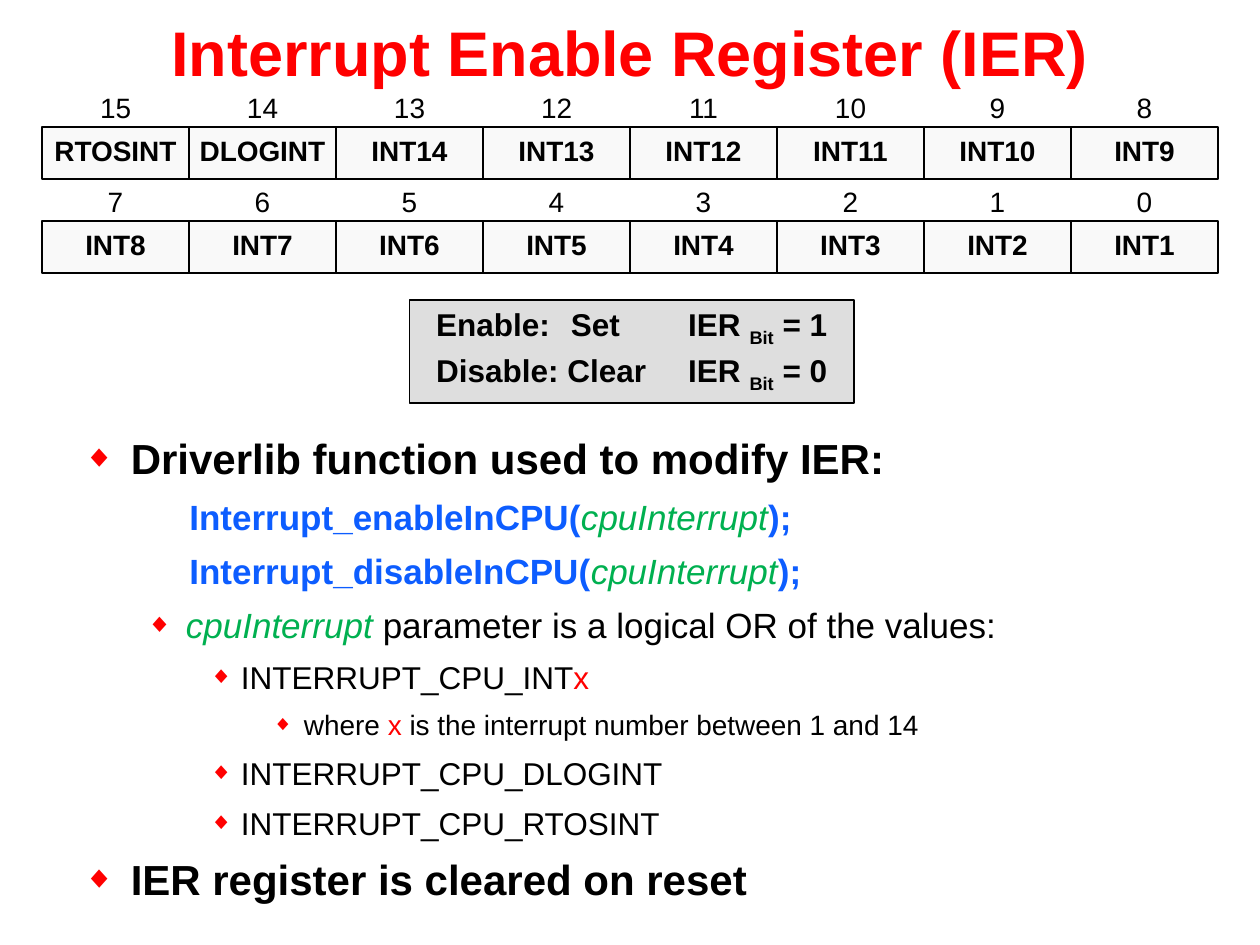
from lxml import etree
from pptx import Presentation
from pptx.dml.color import RGBColor
from pptx.enum import shapes, text
from pptx.oxml import ns
from pptx.util import Pt

FONT = "Arial"
BLACK = RGBColor(0x00, 0x00, 0x00)
RED = RGBColor(0xFF, 0x00, 0x00)
BLUE = RGBColor(0x0D, 0x5D, 0xFF)
GREEN = RGBColor(0x00, 0xB0, 0x50)
CELL_FILL = RGBColor(0xF9, 0xF9, 0xF9)
NOTE_FILL = RGBColor(0xDE, 0xDE, 0xDE)

# Left margin and hanging indent of each bullet level
BULLET_INDENTS = [(27, 27), (58.5, 22.5), (90, 18), (126, 18)]
CODE_MARGIN = 60.5

UPPER_BITS = ["RTOSINT", "DLOGINT"] + [f"INT{n}" for n in range(14, 8, -1)]
LOWER_BITS = [f"INT{n}" for n in range(8, 0, -1)]


def add_text(paragraph, content, size=16, color=BLACK, bold=False,
             italic=False, baseline=0):
    run = paragraph.add_run()
    run.text = content
    font = run.font
    font.name, font.size = FONT, Pt(size)
    font.bold, font.italic = bold, italic
    font.color.rgb = color
    if baseline:
        run._r.get_or_add_rPr().set("baseline", str(baseline * 1000))


def center(paragraph, line_spacing, space_before):
    paragraph.alignment = text.PP_ALIGN.CENTER
    paragraph.line_spacing = line_spacing
    paragraph.space_before = Pt(space_before)


def set_box(shape, left, top, width, height):
    shape.left, shape.top = Pt(left), Pt(top)
    shape.width, shape.height = Pt(width), Pt(height)


def add_box(parent, left, top, width, height, fill):
    shape = parent.add_shape(shapes.MSO_SHAPE.RECTANGLE, Pt(left), Pt(top),
                             Pt(width), Pt(height))
    shape.shadow.inherit = False
    shape.fill.solid()
    shape.fill.fore_color.rgb = fill
    shape.line.color.rgb = BLACK
    shape.line.width = Pt(1)
    shape.text_frame.word_wrap = False
    shape.text_frame.vertical_anchor = text.MSO_ANCHOR.MIDDLE
    return shape


def add_title(slide, left, top, width, height):
    title = slide.shapes.title
    set_box(title, left, top, width, height)
    title.text_frame.vertical_anchor = text.MSO_ANCHOR.MIDDLE
    paragraph = title.text_frame.paragraphs[0]
    paragraph.alignment = text.PP_ALIGN.CENTER
    add_text(paragraph, "Interrupt Enable Register (IER)", size=36,
             color=RED, bold=True)


def add_register(slide, names, high_bit, left, top, width, height):
    """One row of named bits with the bit numbers above it."""
    group = slide.shapes.add_group_shape().shapes
    cell_width = width / len(names)
    label_height = 22
    for index, name in enumerate(names):
        x = left + index * cell_width
        cell = add_box(group, x, top, cell_width, height, CELL_FILL)
        label = group.add_textbox(Pt(x), Pt(top - 20.5), Pt(cell_width),
                                  Pt(label_height))
        label.text_frame.word_wrap = True
        for shape, content, bold in ((cell, name, True),
                                     (label, str(high_bit - index), False)):
            paragraph = shape.text_frame.paragraphs[0]
            center(paragraph, 0.8, 8)
            add_text(paragraph, content, bold=bold)


def add_note(slide, left, top, width, height):
    frame = add_box(slide.shapes, left, top, width, height,
                    NOTE_FILL).text_frame
    lines = [("Enable: \t Set \tIER ", " = 1"),
             ("Disable: Clear\tIER ", " = 0")]
    for index, (action, value) in enumerate(lines):
        paragraph = frame.add_paragraph() if index else frame.paragraphs[0]
        center(paragraph, 0.6, 11.5)
        add_text(paragraph, action, size=18, bold=True)
        add_text(paragraph, "Bit", size=18, bold=True, baseline=-25)
        add_text(paragraph, value, size=18, bold=True)


def set_bullet(paragraph, margin, hanging=0, bullet=True):
    properties = paragraph._p.get_or_add_pPr()
    properties.set("marL", str(Pt(margin)))
    properties.set("indent", str(-Pt(hanging)))
    if not bullet:
        etree.SubElement(properties, ns.qn("a:buNone"))
        return
    color = etree.SubElement(properties, ns.qn("a:buClr"))
    etree.SubElement(color, ns.qn("a:srgbClr")).set("val", str(RED))
    etree.SubElement(properties, ns.qn("a:buSzPct")).set("val", "75000")
    etree.SubElement(properties, ns.qn("a:buChar")).set("char", "◆")


def add_body(slide, left, top, width, height):
    body = slide.placeholders[1]
    set_box(body, left, top, width, height)
    frame = body.text_frame
    frame.auto_size = text.MSO_AUTO_SIZE.NONE
    frame.vertical_anchor = text.MSO_ANCHOR.TOP

    heading = dict(size=24, bold=True)
    code = dict(size=20, color=BLUE, bold=True)
    argument = dict(size=20, color=GREEN, italic=True)
    value = dict(size=18)
    detail = dict(size=16)

    def call(name):
        return None, [(f"{name}(", code), ("cpuInterrupt", argument),
                      (");", code)]

    # Bullet level (None for a line of code) and its runs
    items = [
        (0, [("Driverlib function used to modify IER:", heading)]),
        call("Interrupt_enableInCPU"),
        call("Interrupt_disableInCPU"),
        (1, [("cpuInterrupt ", argument),
             ("parameter is a logical OR of the values:", dict(size=20))]),
        (2, [("INTERRUPT_CPU_INT", value), ("x", dict(size=18, color=RED))]),
        (3, [("where ", detail), ("x", dict(size=16, color=RED)),
             (" is the interrupt number between 1 and 14", detail)]),
        (2, [("INTERRUPT_CPU_DLOGINT", value)]),
        (2, [("INTERRUPT_CPU_RTOSINT", value)]),
        (0, [("IER register is cleared on reset", heading)]),
    ]
    for index, (level, runs) in enumerate(items):
        paragraph = frame.add_paragraph() if index else frame.paragraphs[0]
        paragraph.level = level or 0
        paragraph.space_before = Pt(7)
        if level is None:
            set_bullet(paragraph, CODE_MARGIN, bullet=False)
        else:
            set_bullet(paragraph, *BULLET_INDENTS[level])
        for content, style in runs:
            add_text(paragraph, content, **style)


def main():
    presentation = Presentation()
    presentation.slide_width, presentation.slide_height = Pt(720), Pt(540)
    slide = presentation.slides.add_slide(presentation.slide_layouts[1])
    add_title(slide, 0, 0, 720, 58.5)
    add_register(slide, UPPER_BITS, 15, 24, 72.5, 672, 30)
    add_register(slide, LOWER_BITS, 7, 24, 126.25, 672, 30)
    add_note(slide, 234, 171.5, 254, 59)
    add_body(slide, 40.5, 243.5, 641, 282)
    presentation.save("out.pptx")


if __name__ == "__main__":
    main()
